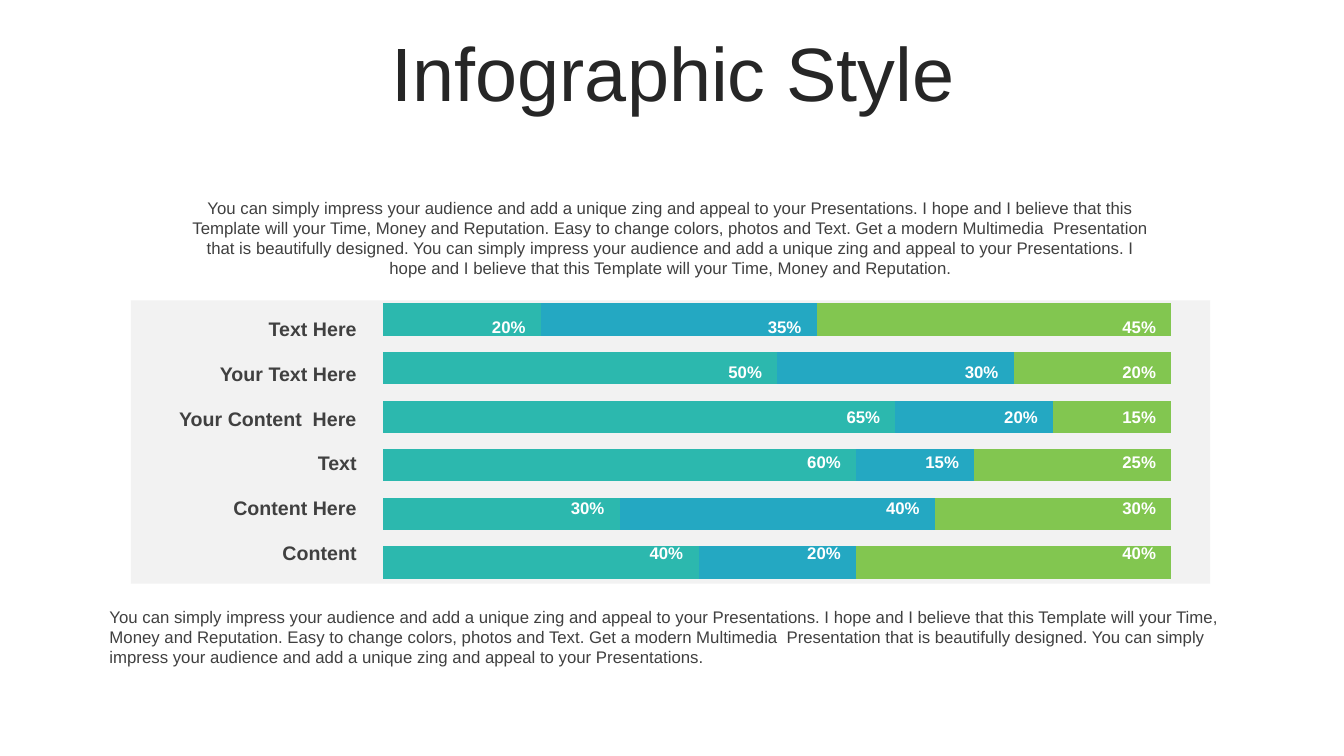
from lxml import etree
from pptx import Presentation
from pptx.chart.data import CategoryChartData
from pptx.dml.color import RGBColor
from pptx.enum.chart import XL_CHART_TYPE
from pptx.enum.shapes import MSO_SHAPE
from pptx.enum.text import MSO_ANCHOR, MSO_AUTO_SIZE, PP_ALIGN
from pptx.oxml.ns import qn
from pptx.util import Cm, Pt

STACKED = XL_CHART_TYPE.BAR_STACKED_100
RECTANGLE = MSO_SHAPE.RECTANGLE
TOP, MIDDLE = MSO_ANCHOR.TOP, MSO_ANCHOR.MIDDLE
LEFT, CENTER, RIGHT = PP_ALIGN.LEFT, PP_ALIGN.CENTER, PP_ALIGN.RIGHT
NO_FIT, GROW = MSO_AUTO_SIZE.NONE, MSO_AUTO_SIZE.SHAPE_TO_FIT_TEXT

INK = RGBColor(0x26, 0x26, 0x26)
GRAY = RGBColor(0x40, 0x40, 0x40)
PANEL = RGBColor(0xF2, 0xF2, 0xF2)
WHITE = RGBColor(0xFF, 0xFF, 0xFF)
BLACK = RGBColor(0x00, 0x00, 0x00)
TEAL = RGBColor(0x2C, 0xB8, 0xAE)
BLUE = RGBColor(0x24, 0xA8, 0xC2)
GREEN = RGBColor(0x82, 0xC6, 0x50)
SERIES_COLORS = (TEAL, BLUE, GREEN)

TITLE_FONT = {"name": "Arial", "size": Pt(54), "bold": False}
BODY_FONT = {"name": "Arial", "size": Pt(12), "bold": False}
VALUE_FONT = {"name": "Arial", "size": Pt(12), "bold": True}
LABEL_FONT = {"name": "Arial", "size": Pt(14), "bold": True}
CHART_FONT = {"name": "Arial", "size": Pt(18)}

IMPRESS = ("You can simply impress your audience and add a unique zing "
           "and appeal to your Presentations.")
HOPE = ("I hope and I believe that this Template will your Time, "
        "Money and Reputation.")
DESIGN = ("Easy to change colors, photos and Text. Get a modern Multimedia  "
          "Presentation that is beautifully designed.")
CLOSING = " ".join((IMPRESS, HOPE, DESIGN, IMPRESS))
INTRO = f"{CLOSING} {HOPE}"

ROWS = (
    ("Text Here", (20, 35, 45)),
    ("Your Text Here", (50, 30, 20)),
    ("Your Content  Here", (65, 20, 15)),
    ("Text", (60, 15, 25)),
    ("Content Here", (30, 40, 30)),
    ("Content", (40, 20, 40)),
)

ROW_TOP = 7.85
LABEL_STEP, VALUE_STEP = 1.13, 1.14
BARS_LEFT, BARS_WIDTH = 9.65, 19.86
VALUE_WIDTH = 1.6


def set_all(target, values):
    """Set every attribute in a dict of format values."""
    for name, value in values.items():
        setattr(target, name, value)


def place(shape, left, top, width, height):
    """Move and size a shape in centimetres."""
    set_all(shape, {"left": Cm(left), "top": Cm(top),
                    "width": Cm(width), "height": Cm(height)})


def write(box, text, font, color, frame_format, para_format):
    """Put one formatted paragraph in a shape."""
    frame = box.text_frame
    set_all(frame, frame_format)
    para = frame.paragraphs[0]
    set_all(para, para_format)
    span = para.add_run()
    span.text = text
    set_all(span.font, font)
    span.font.color.rgb = color


def add_title(page, text):
    """Fill the title placeholder."""
    title = page.shapes.title
    place(title, 0.89, 0.94, 32.16, 2)
    write(title, text, TITLE_FONT, INK,
          {"word_wrap": True, "auto_size": NO_FIT, "vertical_anchor": MIDDLE},
          {"alignment": CENTER, "line_spacing": 0.9})


def add_text(page, position, text, font, color, align, anchor=TOP):
    """Add a wrapped text box that grows with its text."""
    box = page.shapes.add_textbox(0, 0, 0, 0)
    place(box, *position)
    write(box, text, font, color,
          {"word_wrap": True, "auto_size": GROW, "vertical_anchor": anchor},
          {"alignment": align})


def add_panel(page):
    """Add the pale panel behind the chart."""
    panel = page.shapes.add_shape(RECTANGLE, Cm(3.3), Cm(7.57), Cm(27.2), Cm(7.14))
    panel.shadow.inherit = False
    panel.fill.solid()
    panel.fill.fore_color.rgb = PANEL
    panel.line.fill.background()


def fix_plot_area(chart):
    """Give the plot an exact inner layout with equal margins."""
    area = chart.element.find(".//" + qn("c:plotArea"))
    for old in area.findall(qn("c:layout")):
        area.remove(old)
    layout = etree.Element(qn("c:layout"))
    manual = etree.SubElement(layout, qn("c:manualLayout"))
    values = {"layoutTarget": "inner", "xMode": "edge", "yMode": "edge",
              "x": "0.02", "y": "0.02", "w": "0.96", "h": "0.96"}
    for name, value in values.items():
        etree.SubElement(manual, qn(f"c:{name}")).set("val", value)
    area.insert(0, layout)


def add_bars(page):
    """Add the stacked bars, whose first category is the lowest row."""
    data = CategoryChartData()
    data.categories = [str(number) for number in range(1, len(ROWS) + 1)]
    columns = zip(*(shares for _, shares in reversed(ROWS)))
    for number, column in enumerate(columns, 1):
        data.add_series(f"Series {number}", column)
    chart = page.shapes.add_chart(
        STACKED, Cm(9.25), Cm(7.29), Cm(20.68), Cm(7.65), data).chart
    set_all(chart, {"has_legend": False, "has_title": False})
    set_all(chart.font, CHART_FONT)
    chart.font.color.rgb = BLACK
    for axis in (chart.category_axis, chart.value_axis):
        set_all(axis, {"visible": False, "has_major_gridlines": False})
    plot = chart.plots[0]
    set_all(plot, {"gap_width": 50, "overlap": 100, "vary_by_categories": False})
    for series, color in zip(plot.series, SERIES_COLORS):
        series.format.fill.solid()
        series.format.fill.fore_color.rgb = color
    fix_plot_area(chart)


def add_row_text(page, index, label, shares):
    """Label a row and write each share at the right end of its segment."""
    add_text(page, (3.73, ROW_TOP + index * LABEL_STEP, 5.51, 0.86),
             label, LABEL_FONT, GRAY, RIGHT, MIDDLE)
    for count, share in enumerate(shares, 1):
        end = BARS_LEFT + BARS_WIDTH * sum(shares[:count]) / 100
        add_text(page, (end - VALUE_WIDTH, ROW_TOP + index * VALUE_STEP,
                        VALUE_WIDTH, 0.76),
                 f"{share}%", VALUE_FONT, WHITE, CENTER)


def main():
    """Build the slide and save it."""
    deck = Presentation()
    set_all(deck, {"slide_width": Cm(33.87), "slide_height": Cm(19.05)})
    page = deck.slides.add_slide(deck.slide_layouts[5])
    add_title(page, "Infographic Style")
    add_panel(page)
    add_bars(page)
    for index, (label, shares) in enumerate(ROWS):
        add_row_text(page, index, label, shares)
    add_text(page, (4.47, 4.85, 24.87, 2.31), INTRO, BODY_FONT, GRAY, CENTER)
    add_text(page, (2.51, 15.16, 28.78, 1.8), CLOSING, BODY_FONT, GRAY, LEFT)
    deck.save("out.pptx")


if __name__ == "__main__":
    main()
